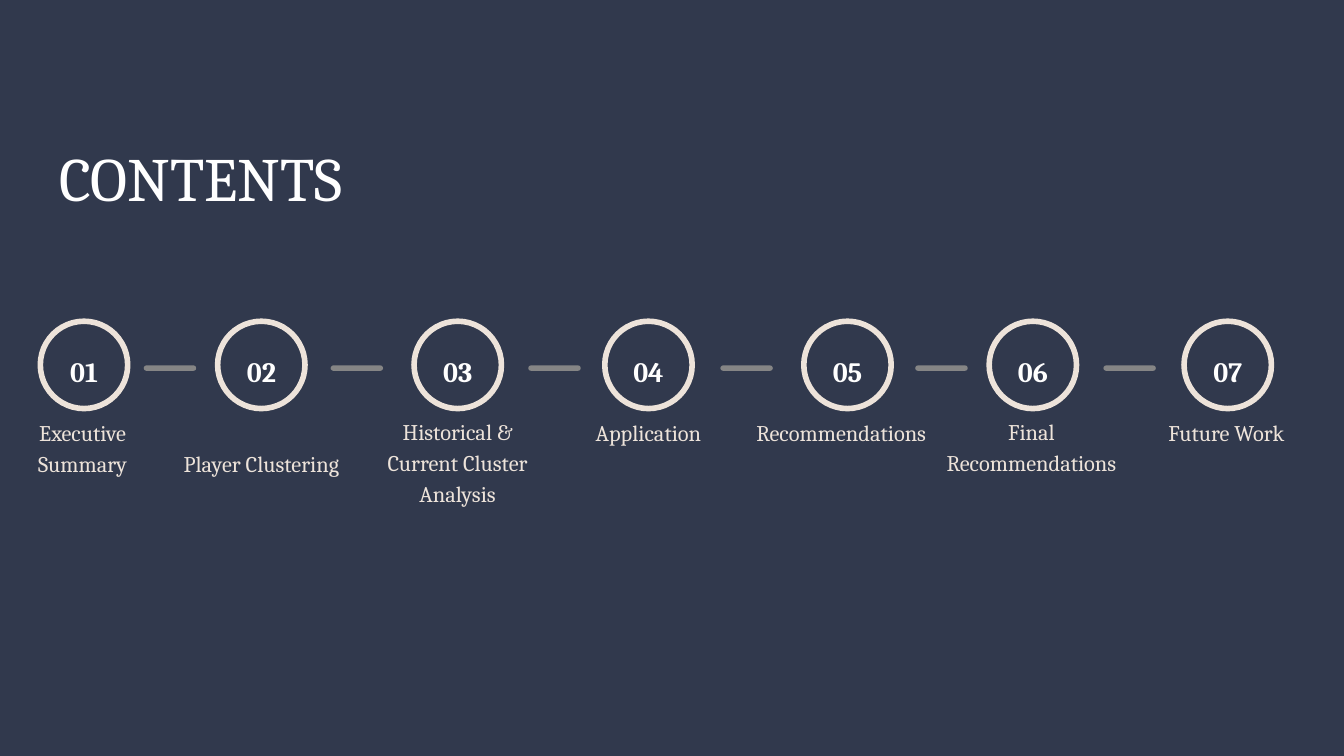
from collections import namedtuple

from pptx import Presentation
from pptx.dml.color import RGBColor
from pptx.enum.shapes import MSO_SHAPE
from pptx.enum.text import MSO_ANCHOR, MSO_AUTO_SIZE, PP_ALIGN
from pptx.util import Pt

NAVY = RGBColor(0x31, 0x39, 0x4D)
CREAM = RGBColor(0xED, 0xE3, 0xDA)
GREY = RGBColor(0x85, 0x85, 0x85)
WHITE = RGBColor(0xFF, 0xFF, 0xFF)
FONT = "Cambria"

CIRCLE_TOP = 172.1
CIRCLE_SIZE = 46.8
NUMBER_WIDTH = 34.6
DASH_TOP = 195.8
DASH_LEFTS = (77, 177.1, 283, 385.9, 490.3, 591.1)

Section = namedtuple("Section", "name circle_left label_box")
SECTIONS = (
    Section("Executive Summary", 21.6, (-7.2, 227.5, 103, 35.3)),
    Section("Player Clustering", 116.6, (88.6, 227.5, 103, 35.3)),
    Section("Historical & Current Cluster Analysis", 221.8, (191.5, 214.6, 107.3, 64.1)),
    Section("Application", 324, (295.9, 231.1, 103, 15.1)),
    Section("Recommendations", 430.6, (385.9, 227.5, 129.6, 18.7)),
    Section("Final Recommendations", 529.9, (486.7, 214.6, 131.8, 47.5)),
    Section("Future Work", 634.3, (605.5, 227.5, 103, 18.7)),
)


def points(*lengths):
    return [Pt(length) for length in lengths]


def write_text(shape, text, size, color, alignment, anchor, bold=False):
    frame = shape.text_frame
    frame.word_wrap = True
    frame.auto_size = MSO_AUTO_SIZE.NONE
    frame.vertical_anchor = anchor
    frame.margin_left = frame.margin_right = Pt(7.2)
    frame.margin_top = frame.margin_bottom = Pt(7.2)
    paragraph = frame.paragraphs[0]
    paragraph.alignment = alignment
    run = paragraph.add_run()
    run.text = text
    run.font.name = FONT
    run.font.size = Pt(size)
    run.font.bold = bold
    run.font.color.rgb = color
    return paragraph


def add_title(slide, text):
    title = slide.shapes.title
    title.left, title.top, title.width, title.height = points(24.5, 42.5, 419.8, 79.2)
    write_text(title, text, 33, WHITE, PP_ALIGN.LEFT, MSO_ANCHOR.BOTTOM)


def add_dash(slide, left):
    dash = slide.shapes.add_shape(
        MSO_SHAPE.ROUNDED_RECTANGLE, *points(left, DASH_TOP, 28.1, 2.9)
    )
    dash.adjustments[0] = 0.5
    dash.shadow.inherit = False
    dash.fill.solid()
    dash.fill.fore_color.rgb = GREY
    dash.line.fill.background()


def add_circle(group, left):
    circle = group.shapes.add_shape(
        MSO_SHAPE.OVAL, *points(left, CIRCLE_TOP, CIRCLE_SIZE, CIRCLE_SIZE)
    )
    circle.shadow.inherit = False
    circle.fill.background()
    circle.line.color.rgb = CREAM
    circle.line.width = Pt(3)


def add_number(group, number, circle_left):
    left = circle_left + (CIRCLE_SIZE - NUMBER_WIDTH) / 2
    box = group.shapes.add_textbox(*points(left, 180, NUMBER_WIDTH, 25.2))
    paragraph = write_text(
        box, f"{number:02d}", 15, WHITE, PP_ALIGN.CENTER, MSO_ANCHOR.TOP, bold=True
    )
    paragraph.line_spacing = 1.15
    paragraph.space_after = Pt(16)


def add_label(group, section):
    box = group.shapes.add_textbox(*points(*section.label_box))
    paragraph = write_text(
        box, section.name, 12, CREAM, PP_ALIGN.CENTER, MSO_ANCHOR.BOTTOM
    )
    paragraph.line_spacing = 1.15


def add_section(slide, number, section):
    group = slide.shapes.add_group_shape()
    add_circle(group, section.circle_left)
    add_label(group, section)
    add_number(group, number, section.circle_left)


def main():
    presentation = Presentation()
    presentation.slide_width = Pt(720)
    presentation.slide_height = Pt(405)
    slide = presentation.slides.add_slide(presentation.slide_layouts[5])
    slide.background.fill.solid()
    slide.background.fill.fore_color.rgb = NAVY
    add_title(slide, "CONTENTS")
    for left in DASH_LEFTS:
        add_dash(slide, left)
    for number, section in enumerate(SECTIONS, start=1):
        add_section(slide, number, section)
    presentation.save("out.pptx")


if __name__ == "__main__":
    main()
